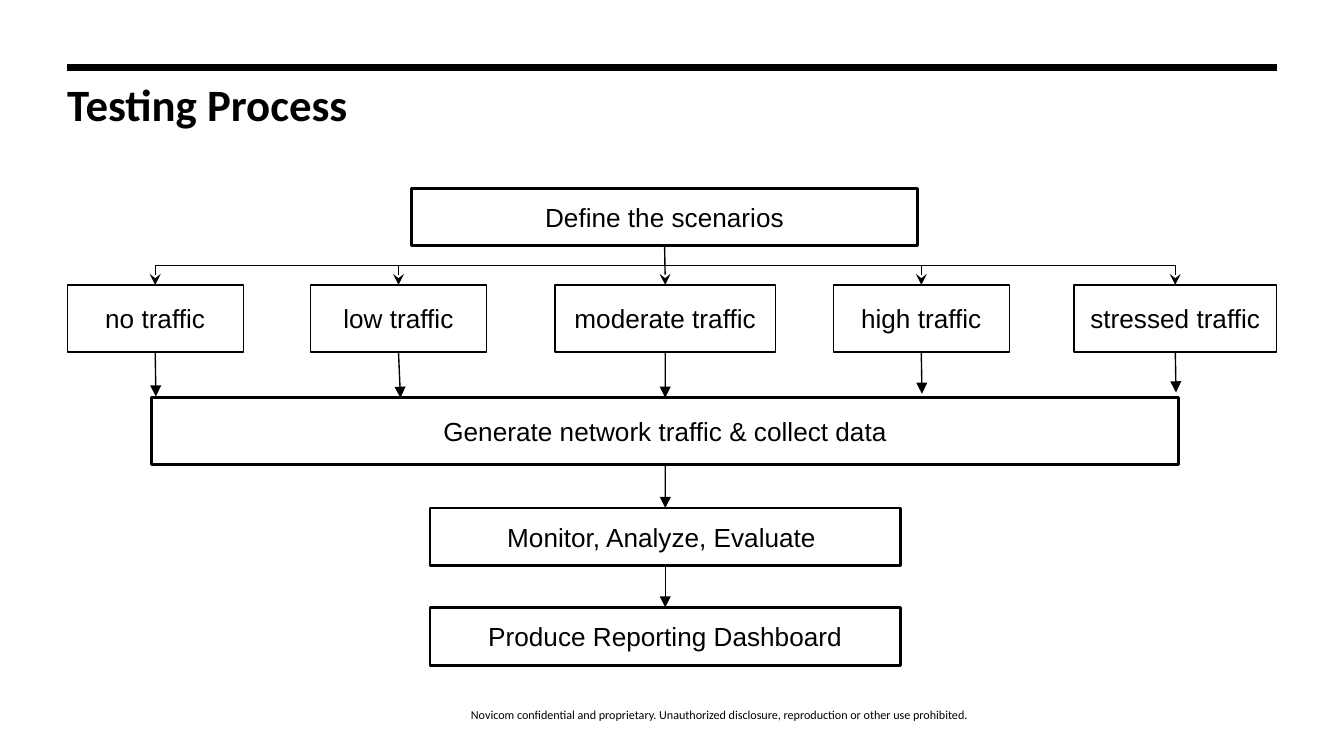
import pptx
import pptx.util
import pptx.dml.color
import pptx.enum.shapes
import pptx.enum.text
import pptx.oxml
import pptx.oxml.ns
from pptx.util import Inches

THEME = {
    "ink": pptx.dml.color.RGBColor(0, 0, 0),
    "paper": pptx.dml.color.RGBColor(255, 255, 255),
    "title": ("Calibri", 24, True),
    "body": ("Arial", 14, False),
    "footer": ("Calibri", 6.5, False),
    "thin": 0.75, "thick": 1.5, "rule": 3.75,
}
CONNECTOR = pptx.enum.shapes.MSO_CONNECTOR
ALIGN = pptx.enum.text.PP_ALIGN
ANCHOR = pptx.enum.text.MSO_ANCHOR
TOP, BOTTOM = 0, 2


def write_text(shape, text, style, align, anchor, inset=0):
    frame = shape.text_frame
    frame.text = text
    frame.word_wrap = True
    frame.vertical_anchor = anchor
    frame.margin_left = frame.margin_right = Inches(inset)
    frame.margin_top = frame.margin_bottom = Inches(inset)
    para = frame.paragraphs[0]
    para.alignment = align
    font = para.runs[0].font
    font.name, size, font.bold = THEME[style]
    font.size = pptx.util.Pt(size)
    font.color.rgb = THEME["ink"]
    return para


def style_line(connector, width, head=None):
    """Colour a connector, drop its shadow and give its end an arrowhead."""
    connector.line.color.rgb = THEME["ink"]
    connector.line.width = pptx.util.Pt(THEME[width])
    if head:
        outline = connector.line._get_or_add_ln()
        outline.append(pptx.oxml.parse_xml(
            f'<a:tailEnd {pptx.oxml.ns.nsdecls("a")} type="{head}"/>'))
    connector._element.spPr.append(pptx.oxml.parse_xml(
        f'<a:effectLst {pptx.oxml.ns.nsdecls("a")}/>'))


deck = pptx.Presentation()
deck.slide_width = Inches(10)
deck.slide_height = deck.slide_width * 9 // 16
page = deck.slides.add_slide(deck.slide_layouts[5])
shapes = page.shapes

# Title, rule and footer
title = shapes.title
title.left, title.top = Inches(0.5), Inches(0.65)
title.width, title.height = Inches(7.75), Inches(0.75)
para = write_text(title, "Testing Process", "title", ALIGN.LEFT, ANCHOR.TOP)
para.line_spacing = 0.8

rule = shapes.add_connector(CONNECTOR.STRAIGHT, Inches(0.5), Inches(0.5),
                            Inches(9.5), Inches(0.5))
style_line(rule, "rule")

footer = shapes.add_textbox(Inches(1.46), Inches(5.04), Inches(7.79), Inches(0.33))
para = write_text(
    footer,
    "Novicom confidential and proprietary. Unauthorized disclosure, "
    "reproduction or other use prohibited.",
    "footer", ALIGN.CENTER, ANCHOR.BOTTOM)
para.line_spacing = 1.14

# Boxes: text, left, top, width, height, outline
steps = [
    ("Define the scenarios", 3.06, 1.4, 3.77, 0.43, "thick"),
    ("Generate network traffic & collect data", 1.13, 2.96, 7.64, 0.5, "thick"),
    ("Monitor, Analyze, Evaluate ", 3.2, 3.78, 3.5, 0.43, "thick"),
    ("Produce Reporting Dashboard", 3.2, 4.52, 3.5, 0.43, "thick"),
]
scenarios = [
    (text, left, 2.12, width, 0.5, "thin") for text, left, width in (
        ("no traffic", 0.5, 1.31),
        ("low traffic", 2.31, 1.31),
        ("moderate traffic", 4.13, 1.64),
        ("high traffic", 6.2, 1.31),
        ("stressed traffic", 7.99, 1.51),
    )
]
boxes = []
for text, left, top, width, height, outline in steps + scenarios:
    box = shapes.add_shape(pptx.enum.shapes.MSO_SHAPE.RECTANGLE, Inches(left),
                           Inches(top), Inches(width), Inches(height))
    box.shadow.inherit = False
    box.fill.solid()
    box.fill.fore_color.rgb = THEME["paper"]
    box.line.color.rgb = THEME["ink"]
    box.line.width = pptx.util.Pt(THEME[outline])
    write_text(box, text, "body", ALIGN.CENTER, ANCHOR.MIDDLE, 0.1)
    boxes.append(box)
define, collect, monitor, report = boxes[:4]
scenario_boxes = boxes[4:]
moderate = scenario_boxes[2]

# Branches from the first step to each scenario
for box in scenario_boxes:
    kind = CONNECTOR.STRAIGHT if box is moderate else CONNECTOR.ELBOW
    branch = shapes.add_connector(kind, 0, 0, 0, 0)
    branch.begin_connect(define, BOTTOM)
    branch.end_connect(box, TOP)
    if box is not moderate:
        # An elbow leaves sideways, so turn it a quarter to leave downwards
        span, drop = branch.width, branch.height
        center_x = branch.left + span // 2
        center_y = branch.top + drop // 2
        rightward = branch.end_x > branch.begin_x
        branch.left, branch.top = center_x - drop // 2, center_y - span // 2
        branch.width, branch.height = drop, span
        frame = branch._element.spPr.find(pptx.oxml.ns.qn("a:xfrm"))
        frame.set("rot", str((270 if rightward else 90) * 60000))
        frame.set("flipH", "1" if rightward else "0")
    style_line(branch, "thin", "stealth")

# Arrows from each scenario down to the collecting step
for box, end_x, end_y in zip(scenario_boxes, (1.16, 2.98, 4.95, 6.86, 8.75),
                             (2.95, 2.96, 2.96, 2.93, 2.92)):
    arrow = shapes.add_connector(CONNECTOR.STRAIGHT, 0, 0,
                                 Inches(end_x), Inches(end_y))
    arrow.begin_connect(box, BOTTOM)
    if box is moderate:
        arrow.end_connect(collect, TOP)
    style_line(arrow, "thin", "triangle")

# Arrows between the closing steps
for upper, lower in ((collect, monitor), (monitor, report)):
    arrow = shapes.add_connector(CONNECTOR.STRAIGHT, 0, 0, 0, 0)
    arrow.begin_connect(upper, BOTTOM)
    arrow.end_connect(lower, TOP)
    style_line(arrow, "thin", "triangle")

deck.save("out.pptx")
